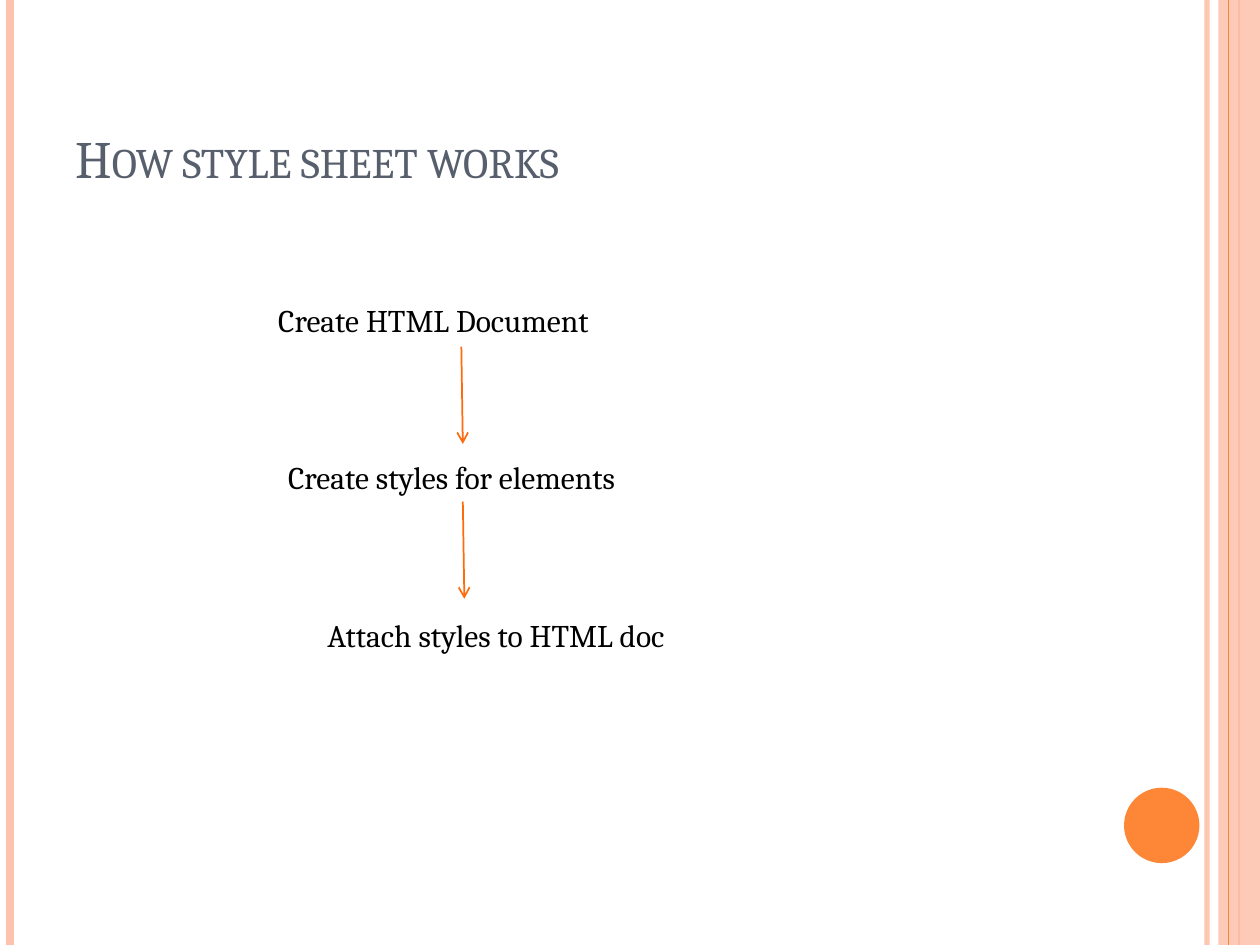
import pptx
import pptx.dml.color
import pptx.enum.shapes
import pptx.enum.text
import pptx.oxml.ns
import pptx.oxml.xmlchemy
import pptx.util
from pptx.util import Cm
from pptx.dml.color import RGBColor
from lxml import etree

PEACH = RGBColor(0xFE, 0xC3, 0xAE)
ORANGE = RGBColor(0xFE, 0x86, 0x37)
ARROW_ORANGE = RGBColor(0xFF, 0x6B, 0x0A)
SLATE = RGBColor(0x57, 0x5F, 0x6D)
BLACK = RGBColor(0, 0, 0)
FONT = "Cambria"

SLIDE_WIDTH, SLIDE_HEIGHT = Cm(25.4), Cm(19.05)
STEP_TOP, STEP_PITCH = 5.94, 3.175
ARROW_TOP, ARROW_PITCH, ARROW_HEIGHT = 6.99, 3.12, 1.96
# Step wording, left edge, width and wrapping
STEPS = [
    ("Create HTML Document", 5.36, 7.9, False),
    ("Create styles for elements", 5.56, 8.43, True),
    ("Attach styles to HTML doc", 6.35, 8.46, False),
]


def set_opacity(fill, percent):
    color = fill._xPr.find(".//" + pptx.oxml.ns.qn("a:srgbClr"))
    etree.SubElement(color, pptx.oxml.ns.qn("a:alpha"), val=str(percent * 1000))


def add_line(slide, start, end, color, width):
    line = slide.shapes.add_connector(
        pptx.enum.shapes.MSO_CONNECTOR.STRAIGHT, *start, *end)
    line.line.color.rgb = color
    line.line.width = pptx.util.Pt(width)
    etree.SubElement(line._element.spPr, pptx.oxml.ns.qn("a:effectLst"))
    return line


def add_stripe(slide, x, color, width):
    """Draw a vertical line over the full slide height."""
    return add_line(slide, (Cm(x), 0), (Cm(x), SLIDE_HEIGHT), color, width)


def add_arrow(slide, start, end):
    arrow = add_line(slide, start, end, ARROW_ORANGE, 1)
    etree.SubElement(arrow.line._get_or_add_ln(),
                     pptx.oxml.ns.qn("a:tailEnd"), type="arrow")


def add_filled_shape(slide, kind, left, top, width, height, color):
    shape = slide.shapes.add_shape(kind, left, top, width, height)
    shape.shadow.inherit = False
    shape.fill.solid()
    shape.fill.fore_color.rgb = color
    shape.line.fill.background()
    return shape


def add_text(slide, text, left, top, width, height, size, color, wrap=True):
    box = slide.shapes.add_textbox(Cm(left), Cm(top), Cm(width), Cm(height))
    box.text_frame.word_wrap = wrap
    run = box.text_frame.paragraphs[0].add_run()
    run.text = text
    run.font.name = FONT
    run.font.size = pptx.util.Pt(size)
    run.font.color.rgb = color
    return box.text_frame, run


def add_border(slide):
    """Draw the stripes at both edges and the disc at the lower right."""
    shapes = pptx.enum.shapes.MSO_SHAPE
    inner_stripe = add_stripe(slide, 24.33, PEACH, 3)
    set_opacity(inner_stripe.line.fill, 93)
    add_stripe(slide, 0.21, PEACH, 4.5)
    add_stripe(slide, 24.98, ORANGE, 1.5)
    band = add_filled_shape(slide, shapes.RECTANGLE, Cm(24.56), 0,
                            Cm(0.84), SLIDE_HEIGHT, PEACH)
    set_opacity(band.fill, 87)
    add_stripe(slide, 24.77, ORANGE, 0.75)
    add_filled_shape(slide, shapes.OVAL, Cm(22.66), Cm(15.88),
                     Cm(1.52), Cm(1.52), ORANGE)


def add_title(slide):
    frame, run = add_text(slide, "How style sheet works",
                          1.27, 0.76, 20.75, 3.18, 30, SLATE)
    frame.vertical_anchor = pptx.enum.text.MSO_ANCHOR.BOTTOM
    run._r.get_or_add_rPr().set("cap", "small")


def add_steps(slide):
    for index, (wording, left, width, wrap) in enumerate(STEPS):
        frame, _ = add_text(slide, wording, left, STEP_TOP + index * STEP_PITCH,
                            width, 1.03, 18, BLACK, wrap)
        frame.auto_size = pptx.enum.text.MSO_AUTO_SIZE.SHAPE_TO_FIT_TEXT
    for index in range(len(STEPS) - 1):
        x = 9.3 + index * 0.03
        top = ARROW_TOP + index * ARROW_PITCH
        add_arrow(slide, (Cm(x), Cm(top)),
                  (Cm(x + 0.03), Cm(top + ARROW_HEIGHT)))


def main():
    deck = pptx.Presentation()
    deck.slide_width, deck.slide_height = SLIDE_WIDTH, SLIDE_HEIGHT
    slide = deck.slides.add_slide(deck.slide_layouts[6])
    add_border(slide)
    add_title(slide)
    add_steps(slide)
    deck.save("out.pptx")


if __name__ == "__main__":
    main()
